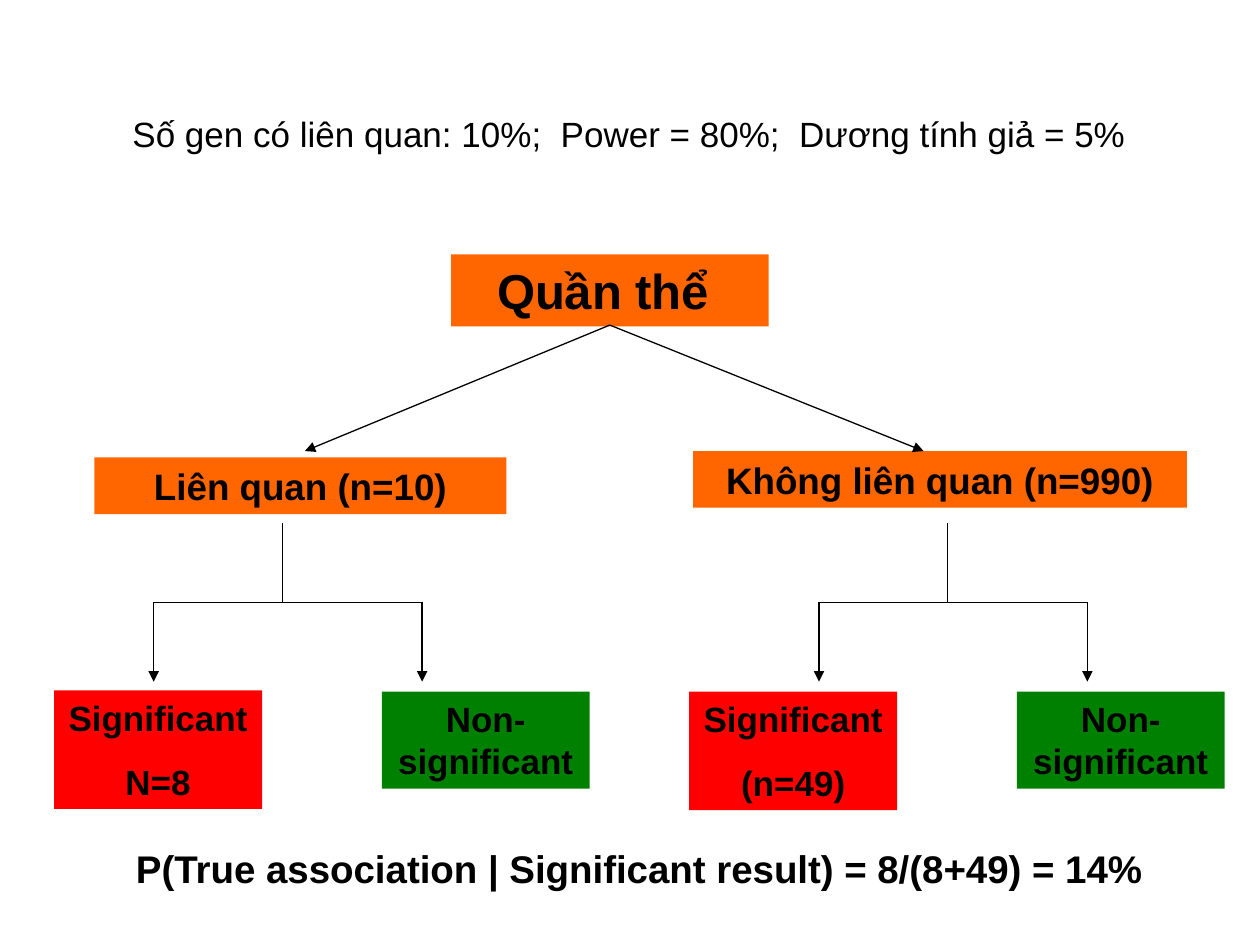
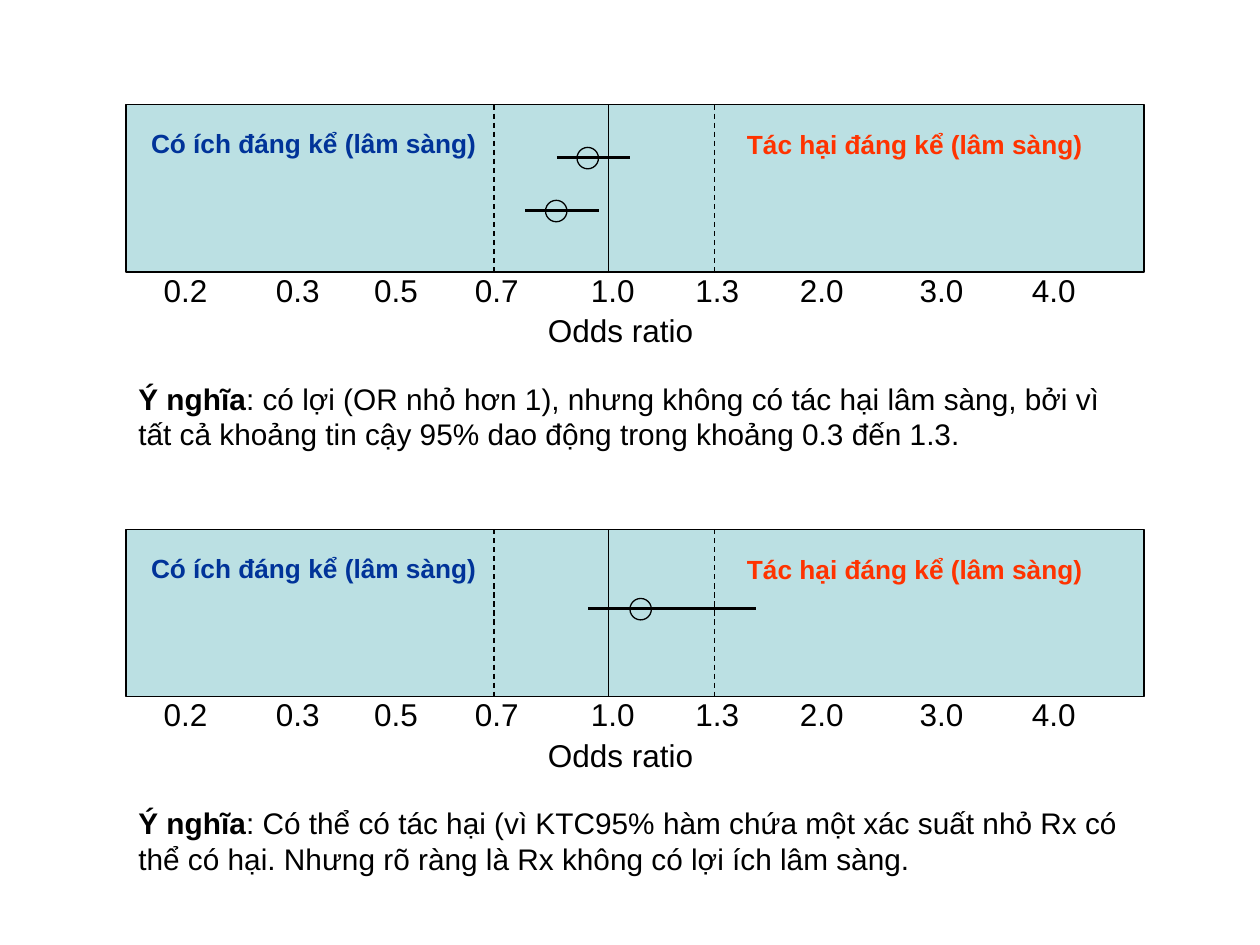
from pptx import Presentation
from pptx.dml.color import RGBColor
from pptx.enum.dml import MSO_LINE
from pptx.enum.shapes import MSO_CONNECTOR, MSO_SHAPE
from pptx.enum.text import MSO_ANCHOR, MSO_AUTO_SIZE, PP_ALIGN
from pptx.oxml.ns import qn
from pptx.util import Pt
from lxml import etree

RECT, OVAL = MSO_SHAPE.RECTANGLE, MSO_SHAPE.OVAL
STRAIGHT, DASH = MSO_CONNECTOR.STRAIGHT, MSO_LINE.DASH
LEFT, CENTER = PP_ALIGN.LEFT, PP_ALIGN.CENTER

SCALE = 9144
FONT = "Arial"
COLORS = {
    "ink": "000000",
    "orange": "FF6600",
    "red": "FF0000",
    "green": "008000",
    "panel": "BBE0E3",
    "harm": "FF3300",
    "benefit": "003399",
}
TICKS = {"0.2": 20, "0.3": 109, "0.5": 187, "0.7": 267, "1.0": 359,
         "1.3": 442, "2.0": 525, "3.0": 620, "4.0": 709}
REFERENCE_LINES = {383: None, 292: DASH, 467: DASH}
DOT = 17


def px(*values):
    return [v * SCALE for v in values]


def rgb(name):
    return RGBColor.from_string(COLORS[name])


def set_attrs(obj, values):
    for name, value in values.items():
        setattr(obj, name, value)


def write(sp, paragraphs, size, bold=False, color="ink", align=LEFT,
          before=0, wrap=True):
    tf = sp.text_frame
    set_attrs(tf, {"word_wrap": wrap, "auto_size": MSO_AUTO_SIZE.SHAPE_TO_FIT_TEXT,
                   "vertical_anchor": MSO_ANCHOR.TOP})
    for i, runs in enumerate(paragraphs):
        p = tf.add_paragraph() if i else tf.paragraphs[0]
        set_attrs(p, {"alignment": align, "space_before": Pt(before)})
        for text, is_bold in ([(runs, bold)] if isinstance(runs, str) else runs):
            r = p.add_run()
            r.text = text
            set_attrs(r.font, {"name": FONT, "size": Pt(size), "bold": is_bold})
            r.font.color.rgb = rgb(color)


def add_text(s, box, paragraphs, size, **fmt):
    write(s.shapes.add_textbox(*px(*box)), paragraphs, size, **fmt)


def add_shape(s, kind, box, fill=None, line=None):
    sp = s.shapes.add_shape(kind, *px(*box))
    sp.shadow.inherit = False
    if fill:
        sp.fill.solid()
        sp.fill.fore_color.rgb = rgb(fill)
    else:
        sp.fill.background()
    if line:
        sp.line.color.rgb = rgb(line)
        sp.line.width = Pt(0.75)
    else:
        sp.line.fill.background()
    return sp


def add_line(s, x1, y1, x2, y2, width=0.75, dash=None, arrow=False):
    c = s.shapes.add_connector(STRAIGHT, *px(x1, y1, x2, y2))
    c.line.color.rgb = rgb("ink")
    set_attrs(c.line, {"width": Pt(width), "dash_style": dash})
    spPr = c._element.spPr
    if arrow:
        etree.SubElement(spPr.find(qn("a:ln")), qn("a:tailEnd"), type="triangle")
    etree.SubElement(spPr, qn("a:effectLst"))


def add_node(s, box, fill, paragraphs, size):
    write(add_shape(s, RECT, box, fill), paragraphs, size, bold=True,
          align=CENTER, before=size * 0.625)


def add_bracket(s, box, stem):
    x, y, w, h = box
    mid = y + h // 2
    add_line(s, x + stem, y, x + stem, mid)
    add_line(s, x, mid, x + w, mid)
    for end in (x, x + w):
        add_line(s, end, mid, end, y + h, arrow=True)


def add_leaves(s, x, y, count, drop):
    add_node(s, (x, y + drop, 165, 94), "red", ["Significant", count], 20)
    add_node(s, (x + 260, y, 165, 77), "green", ["Non-significant"], 20)


def tree_slide(prs):
    s = prs.slides.add_slide(prs.slide_layouts[6])
    add_node(s, (358, 202, 252, 57), "orange", ["Quần thể "], 28)
    add_node(s, (75, 363, 327, 45), "orange", ["Liên quan (n=10)"], 21)
    add_node(s, (550, 358, 392, 45), "orange", ["Không liên quan (n=990)"], 21)
    add_leaves(s, 43, 549, "N=8", -1)
    add_leaves(s, 547, 549, "(n=49)", 0)
    for x in (242, 733):
        add_line(s, 484, 258, x, 358, arrow=True)
    for x in (122, 650):
        add_bracket(s, (x, 415, 213, 126), 102)
    add_text(s, (43, 666, 929, 47),
             ["P(True association | Significant result) = 8/(8+49) = 14%"],
             22, bold=True, align=CENTER, before=13.75)
    add_text(s, (27, 84, 945, 44),
             ["Số gen có liên quan: 10%;  Power = 80%;  Dương tính giả = 5%"],
             20, align=CENTER, before=12.5)


def add_interval(s, x, y, low, high, dot):
    add_line(s, x + low, y, x + high, y, width=2)
    add_shape(s, OVAL, (x + dot, y - DOT // 2, DOT, DOT), line="ink")


def odds_panel(s, box, intervals, meaning):
    x, y, w, h = box
    add_shape(s, RECT, box, "panel", "ink")
    for dx, dash in REFERENCE_LINES.items():
        add_line(s, x + dx, y, x + dx, y + h, dash=dash)
    add_text(s, (x + 483, y + 14, 286, 35), ["Tác hại đáng kể (lâm sàng)"],
             15, bold=True, color="harm", wrap=False)
    add_text(s, (x + 10, y + 13, 278, 35), ["Có ích đáng kể (lâm sàng)"],
             15, bold=True, color="benefit", wrap=False)
    for label, dx in TICKS.items():
        add_text(s, (x + dx, y + h - 6, 55, 40), [label], 18, wrap=False)
    for dy, low, high, dot in intervals:
        add_interval(s, x, y + dy, low, high, dot)
    add_text(s, (x, y + h + 81, w, 67),
             [[("Ý nghĩa", True), (": " + meaning, False)]], 17, before=10.6)
    add_text(s, (x + 325, y + h + 26, 135, 40), ["Odds ratio"], 18, wrap=False)


def odds_slide(prs):
    s = prs.slides.add_slide(prs.slide_layouts[6])
    odds_panel(s, (100, 83, 808, 133),
               [(42, 342, 400, 358), (84, 317, 375, 333)],
               "có lợi (OR nhỏ hơn 1), nhưng không có tác hại lâm sàng, bởi vì "
               "tất cả khoảng tin cậy 95% dao động trong khoảng 0.3 đến 1.3.")
    odds_panel(s, (100, 420, 808, 133), [(63, 367, 500, 400)],
               "Có thể có tác hại (vì KTC95% hàm chứa một xác suất nhỏ Rx có "
               "thể có hại. Nhưng rõ ràng là Rx không có lợi ích lâm sàng.")


def main():
    prs = Presentation()
    prs.slide_width, prs.slide_height = px(1000, 750)
    tree_slide(prs)
    odds_slide(prs)
    prs.save("out.pptx")


if __name__ == "__main__":
    main()
